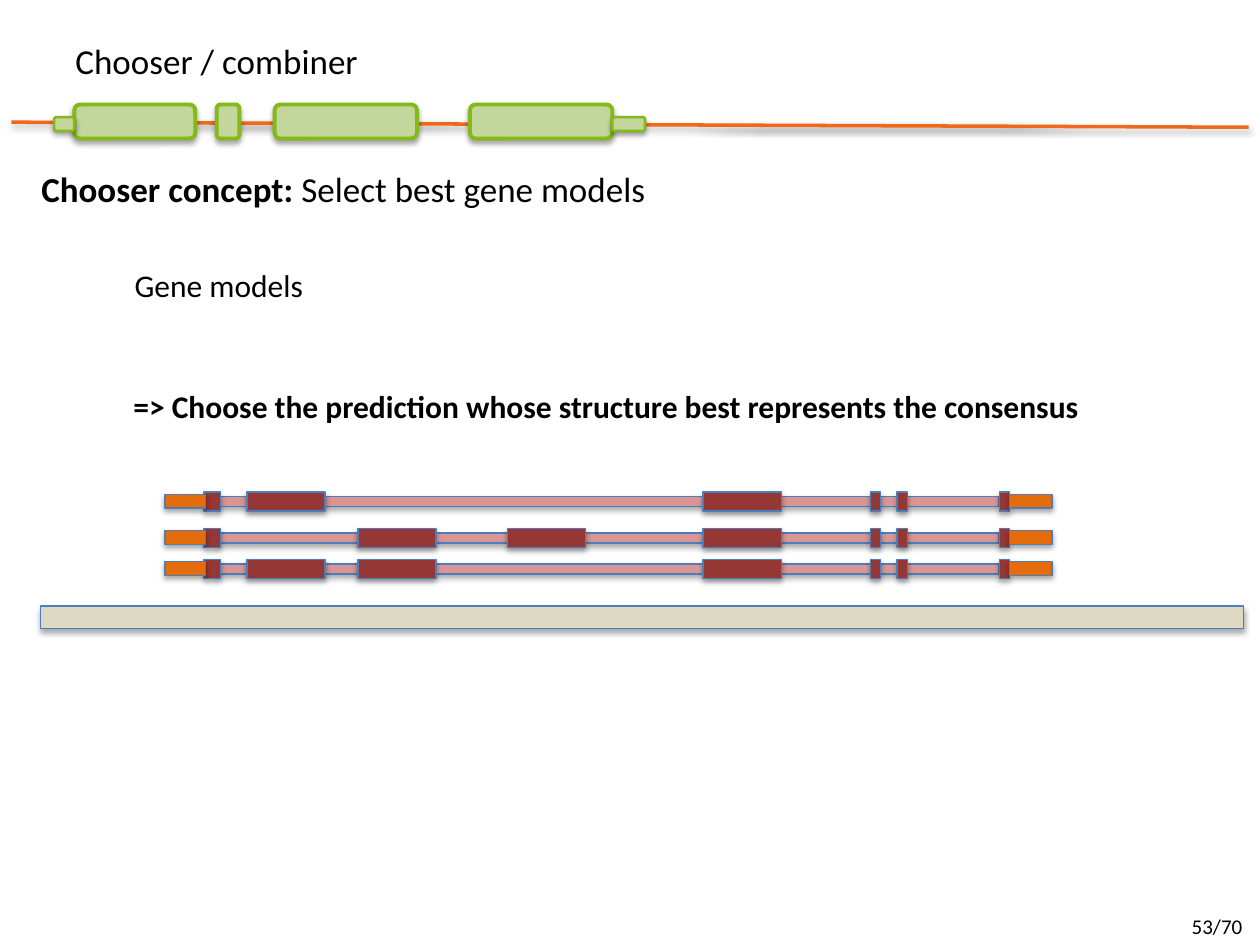
from lxml.etree import SubElement
from pptx import Presentation
from pptx.dml.color import RGBColor
from pptx.enum.shapes import MSO_CONNECTOR, MSO_SHAPE
from pptx.enum.text import MSO_ANCHOR, MSO_AUTO_SIZE
from pptx.oxml.ns import qn
from pptx.util import Inches, Pt

BLACK = RGBColor(0x00, 0x00, 0x00)
ORANGE_LINE = RGBColor(0xF0, 0x68, 0x1A)
GREEN = RGBColor(0xC3, 0xD6, 0x9B)
GREEN_LINE = RGBColor(0x84, 0xB9, 0x19)
BLUE_LINE = RGBColor(0x4B, 0x7E, 0xBC)
GENOME = RGBColor(0xDD, 0xD9, 0xC3)
INTRON = RGBColor(0xD9, 0x96, 0x94)
EXON = RGBColor(0x95, 0x37, 0x35)
UTR = RGBColor(0xE4, 0x6C, 0x0A)


class GeneSlide:
    """Places elements on a grid of 100 columns by 75 rows."""

    FONT = "Calibri"
    COLS, ROWS = 100, 75

    def __init__(self, prs):
        self.col = prs.slide_width / self.COLS
        self.row = prs.slide_height / self.ROWS
        self.slide = prs.slides.add_slide(prs.slide_layouts[6])
        self.shapes = self.slide.shapes

    def place(self, x, y, w, h):
        return (round(x * self.col), round(y * self.row),
                round(w * self.col), round(h * self.row))

    def shadow(self, sp, alpha, distance):
        effects = SubElement(sp._element.spPr, qn("a:effectLst"))
        outer = SubElement(effects, qn("a:outerShdw"), blurRad=str(Pt(3.1)),
                           dist=str(Pt(distance)), dir="5400000", rotWithShape="0")
        color = SubElement(outer, qn("a:srgbClr"), val=str(BLACK))
        SubElement(color, qn("a:alpha"), val=str(alpha * 1000))

    def box(self, x, y, w, h, fill, line=BLUE_LINE, width=0.75,
            kind=MSO_SHAPE.RECTANGLE, parent=None):
        shapes = parent.shapes if parent else self.shapes
        sp = shapes.add_shape(kind, *self.place(x, y, w, h))
        sp.fill.solid()
        sp.fill.fore_color.rgb = fill
        sp.line.color.rgb = line
        sp.line.width = Pt(width)
        self.shadow(sp, 35, 1.8)

    def line(self, x1, y1, x2, y2, color, width):
        cx = self.shapes.add_connector(
            MSO_CONNECTOR.STRAIGHT, *self.place(x1, y1, x2, y2))
        cx.line.color.rgb = color
        cx.line.width = Pt(width)
        self.shadow(cx, 38, 1.6)

    def text(self, x, y, w, h, runs, size, anchor=MSO_ANCHOR.TOP, wrap=False):
        """Each run is a pair of wording and boldness."""
        tf = self.shapes.add_textbox(*self.place(x, y, w, h)).text_frame
        tf.word_wrap = wrap
        tf.auto_size = MSO_AUTO_SIZE.NONE if wrap else MSO_AUTO_SIZE.SHAPE_TO_FIT_TEXT
        tf.vertical_anchor = anchor
        p = tf.paragraphs[0]
        p.font.name = self.FONT
        p.font.size = Pt(size)
        p.font.color.rgb = BLACK
        for wording, bold in runs:
            r = p.add_run()
            r.text = wording
            r.font.bold = bold

    def gene_model(self, y, long_exons):
        """Draws one predicted gene; y is the top of its exons."""
        group = self.shapes.add_group_shape()
        self.box(17.1, y + 0.35, 62.2, 0.8, INTRON, parent=group)
        exons = [(x, 6.2) for x in long_exons]
        exons += [(x, 0.8) for x in (69.1, 71.2, 79.3)] + [(16.2, 1.3)]
        for x, w in exons:
            self.box(x, y, w, 1.5, EXON, parent=group)
        for x, w in ((13.1, 3.2), (80.1, 3.4)):
            self.box(x, y + 0.18, w, 1.1, UTR, parent=group)


def main():
    prs = Presentation()
    prs.slide_width, prs.slide_height = Inches(10), Inches(7.5)
    s = GeneSlide(prs)

    # Header gene: line, exons, then the narrow untranslated ends
    s.line(0.9, 9.7, 99.1, 10.1, ORANGE_LINE, 2)
    for x, w in ((5.9, 9.6), (17.2, 1.8), (21.8, 11.3), (37.3, 11.3)):
        s.box(x, 8.3, w, 2.7, GREEN, GREEN_LINE, 2.25, MSO_SHAPE.ROUNDED_RECTANGLE)
    for x, w in ((48.6, 2.6), (4.3, 1.6)):
        s.box(x, 9.3, w, 1.1, GREEN, GREEN_LINE, 1.5, MSO_SHAPE.ROUNDED_RECTANGLE)

    # Wording
    s.text(5, 2.4, 37.5, 4.8, [("Chooser / combiner", False)], 20,
           MSO_ANCHOR.MIDDLE, wrap=True)
    s.text(2.3, 12.8, 50.4, 4.4, [("Chooser concept: ", True),
                                  ("Select best gene models", False)], 20)
    s.text(9.7, 20.6, 15.5, 4, [("Gene models", False)], 18)
    s.text(9.6, 30.2, 78.1, 4, [("=> Choose the prediction whose structure "
                                 "best represents the consensus", True)], 18)

    # Genome and the competing gene models, bottom to top
    s.box(3.2, 48.1, 95.5, 1.8, GENOME)
    for y, long_exons in ((44.4, (19.6, 28.4, 55.8)),
                          (41.95, (40.3, 28.4, 55.8)),
                          (39.05, (19.6, 55.8))):
        s.gene_model(y, long_exons)

    # Page number
    s.text(93.6, 72, 6.4, 3, [("53/70", False)], 12, wrap=True)

    prs.save("out.pptx")


if __name__ == "__main__":
    main()
